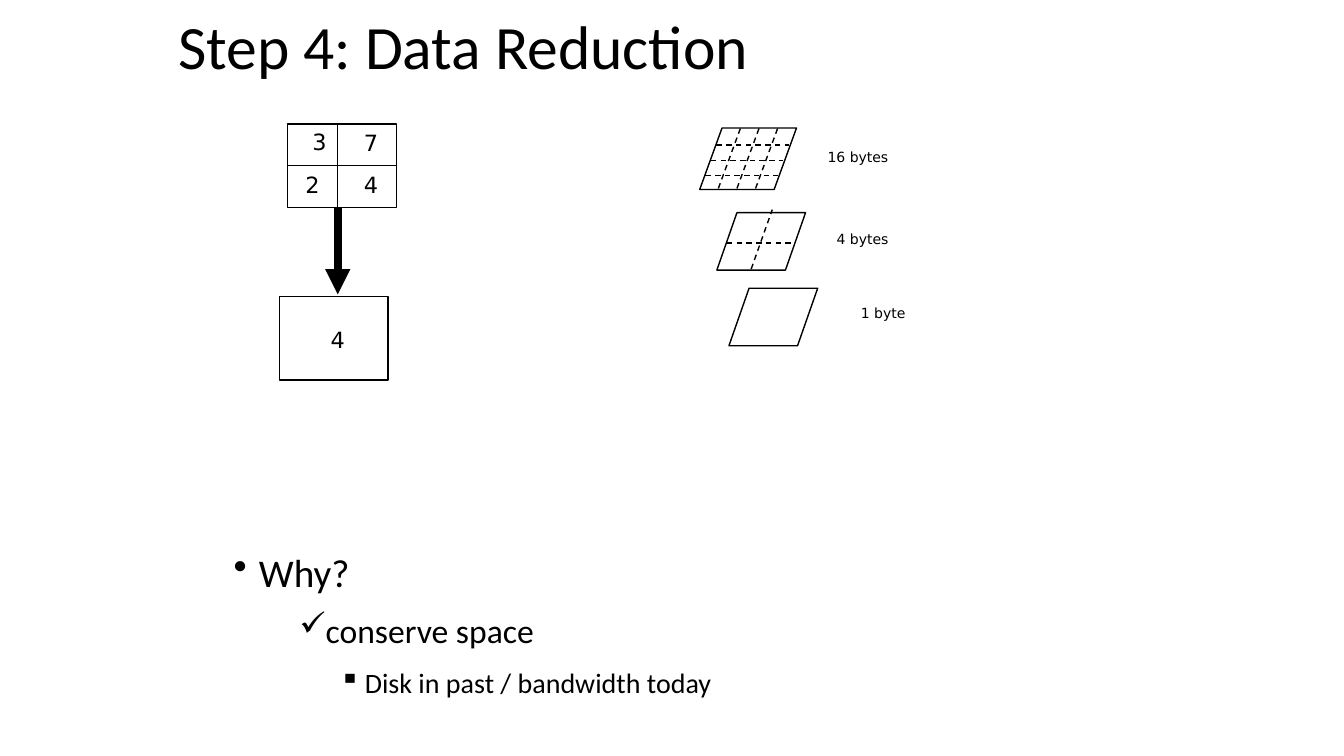
"""Build the data reduction slide."""
from lxml import etree
from pptx import Presentation, util as u
from pptx.dml.color import RGBColor
from pptx.enum import dml, shapes as s, text as t
from pptx.oxml.ns import qn

HUES = {"ink": "000000", "page": "FFFFFF"}
INK = RGBColor.from_string(HUES["ink"])


def write(pen, box, lines, size=16, font="DejaVu Sans", wrap=False, mid=False, gap=None):
    """Add a text box; each line is text, or a tuple of text, size, bullet and indent."""
    frame = pen.add_textbox(*map(u.Inches, box)).text_frame
    frame.word_wrap = wrap
    frame.vertical_anchor = t.MSO_ANCHOR.MIDDLE if mid else t.MSO_ANCHOR.TOP
    for i, line in enumerate(lines):
        words, points, mark, left = line if isinstance(line, tuple) else (line, size, None, 0)
        para = frame.paragraphs[0] if i == 0 else frame.add_paragraph()
        if gap:
            para.line_spacing = gap
        if mark:
            para.space_before = u.Pt(10 if i else 0)
            para.space_after = u.Pt(6)
            props = para._p.get_or_add_pPr()
            props.set("marL", str(u.Inches(left)))
            props.set("indent", str(u.Inches(-0.25)))
            etree.SubElement(props, qn("a:buChar")).set("char", mark)
        run = para.add_run()
        run.text = words
        run.font.size = u.Pt(points)
        run.font.name = font
        run.font.color.rgb = INK


def rule(pen, x1, y1, x2, y2, width=1, dash=False, arrow=False):
    """Draw a straight line, dashed or with an arrowhead on request."""
    ends = map(u.Inches, (x1, y1, x2, y2))
    link = pen.add_connector(s.MSO_CONNECTOR.STRAIGHT, *ends)
    link.line.color.rgb = INK
    link.line.width = u.Pt(width)
    if dash:
        link.line.dash_style = dml.MSO_LINE.DASH
    if arrow:
        etree.SubElement(link.line._get_or_add_ln(), qn("a:tailEnd")).set("type", "triangle")
    etree.SubElement(link._element.spPr, qn("a:effectLst"))


def frame(pen, kind, box):
    """Draw an unfilled outline shape."""
    form = pen.add_shape(kind, *map(u.Inches, box))
    form.shadow.inherit = False
    form.fill.background()
    form.line.color.rgb = INK
    form.line.width = u.Pt(1)
    return form


def sheet(pen, box, slant, parts):
    """Draw a slanted sheet split by dashes into equal parts each way."""
    x, y, w, h = box
    frame(pen, s.MSO_SHAPE.PARALLELOGRAM, box).adjustments[0] = slant
    skew = slant * h
    side = w - skew
    for i in range(1, parts):
        share = i / parts
        left, level = x + skew * (1 - share), y + h * share + 0.015
        rule(pen, left, level, left + side - 0.02, level, dash=True)
        foot = x + side * share
        rule(pen, foot, y + h - 0.01, foot + skew + 0.01, y - 0.03, dash=True)


def stack(pen, x, y):
    """Draw the three shrinking sheets and their byte counts."""
    group = pen.add_group_shape().shapes
    sheet(group, (x + 0.29, y + 1.59, 0.88, 0.57), 0.35, 1)
    sheet(group, (x + 0.17, y + 0.84, 0.88, 0.57), 0.35, 2)
    sheet(group, (x, y, 0.96, 0.61), 0.363, 4)
    for words, dx, dy, w in (("16 bytes", 1.17, 0.15, 0.81),
                             ("4 bytes", 1.26, 0.97, 0.72),
                             ("1 byte", 1.5, 1.7, 0.65)):
        write(pen, (x + dx, y + dy, w, 0.27), [words], size=10)


def merge(pen, x, y, w=1.08, h=0.83):
    """Draw the grid of four values reduced to a single cell."""
    grid = pen.add_group_shape().shapes
    frame(grid, s.MSO_SHAPE.RECTANGLE, (x, y, w, h))
    rule(grid, x + 0.5, y, x + 0.5, y + h)
    rule(grid, x, y + h / 2, x + w, y + h / 2)
    for digit, dx, dy in (("3", 0.15, -0.01), ("2", 0.08, 0.42),
                          ("4", 0.66, 0.42), ("7", 0.66, 0)):
        write(grid, (x + dx, y + dy, 0.34, 0.37), [digit])
    cell = pen.add_group_shape().shapes
    frame(cell, s.MSO_SHAPE.RECTANGLE, (x - 0.08, y + 1.71, w, h))
    write(cell, (x + 0.33, y + 1.96, 0.34, 0.37), ["4"])
    rule(pen, x + 0.5, y + h, x + 0.5, y + 1.69, width=6, arrow=True)


def main():
    """Build and save the slide."""
    deck = Presentation()
    deck.slide_width, deck.slide_height = u.Inches(13.33), u.Inches(7.5)
    slide = deck.slides.add_slide(deck.slide_layouts[6])
    slide.background.fill.solid()
    slide.background.fill.fore_color.rgb = RGBColor.from_string(HUES["page"])
    pen = slide.shapes
    write(pen, (1.67, 0, 10, 0.99), ["Step 4: Data Reduction"],
          size=44, font="Calibri", wrap=True, mid=True, gap=0.9)
    write(pen, (2.22, 5.48, 8.9, 1.54),
          [("Why?", 28, "•", 0.25), ("conserve space", 24, "✓", 0.9),
           ("Disk in past / bandwidth today", 20, "▪", 1.3)],
          font="Calibri", wrap=True, gap=0.8)
    stack(pen, 6.94, 1.27)
    merge(pen, 2.85, 1.23)
    deck.save("out.pptx")


if __name__ == "__main__":
    main()
